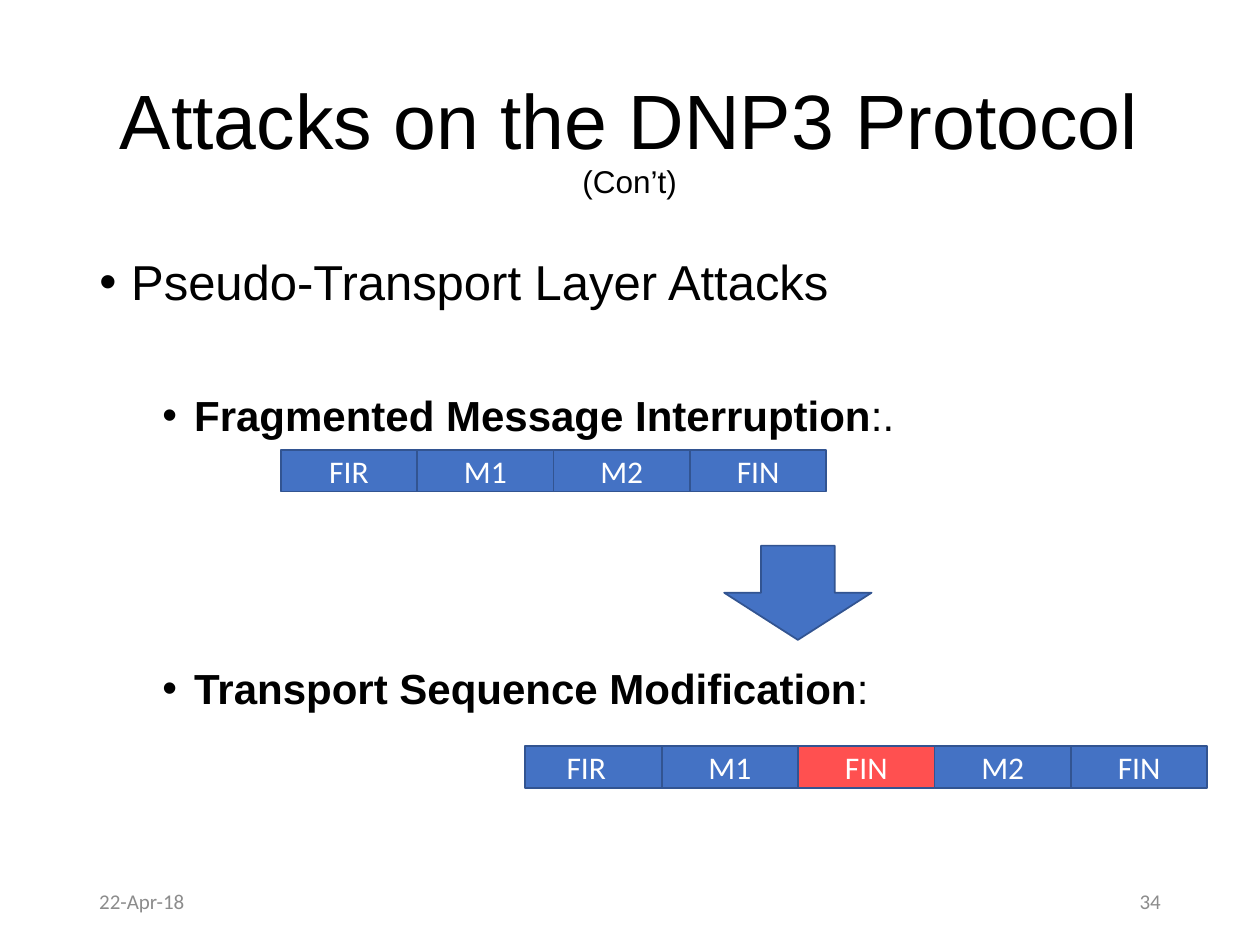
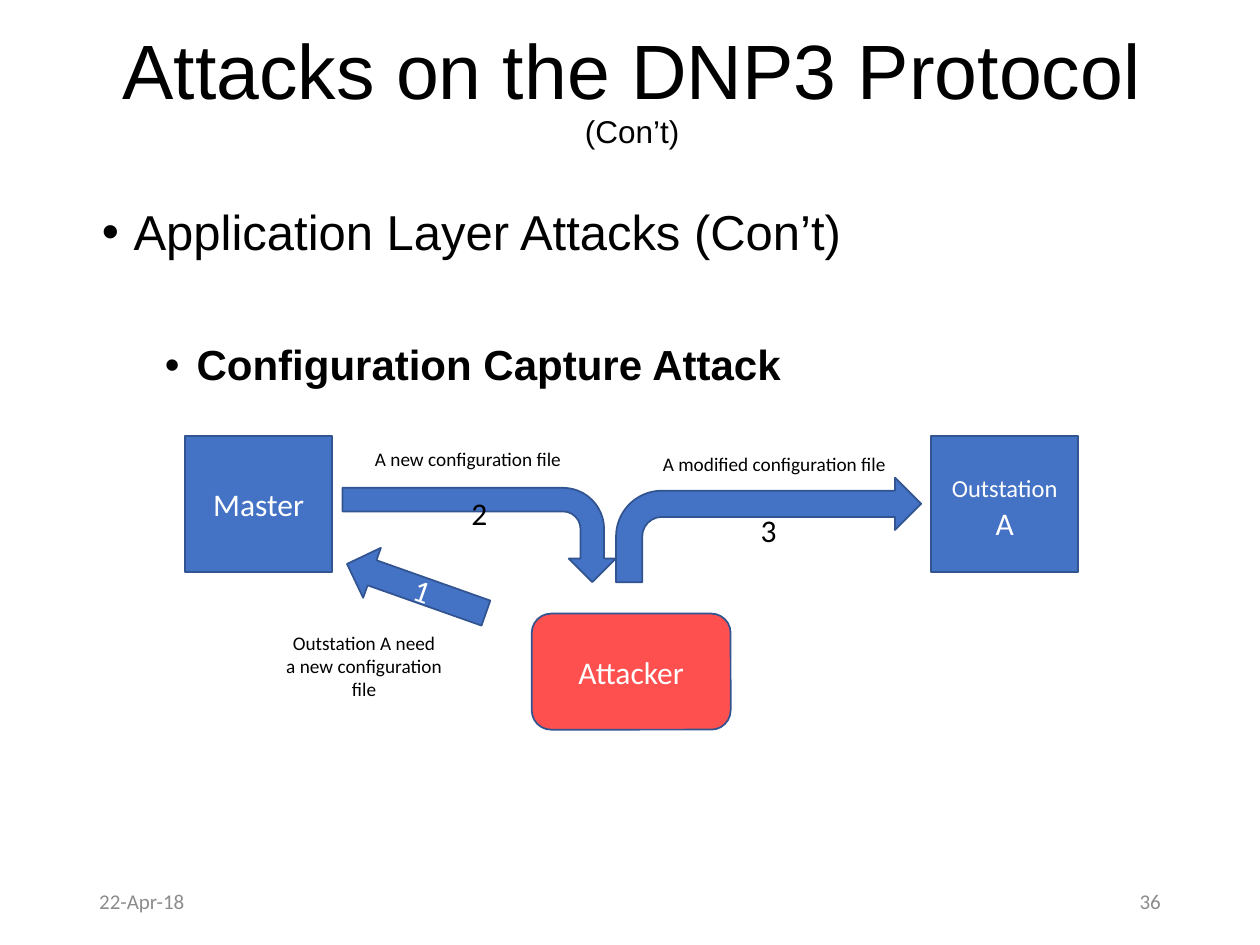
from lxml import etree
from pptx import Presentation
from pptx.dml.color import RGBColor
from pptx.enum.shapes import MSO_SHAPE
from pptx.enum.text import MSO_ANCHOR, MSO_AUTO_SIZE, PP_ALIGN
from pptx.oxml.ns import qn
from pptx.util import Cm, Pt

RECT = MSO_SHAPE.RECTANGLE
ROUND = MSO_SHAPE.ROUNDED_RECTANGLE
DOWN = MSO_SHAPE.DOWN_ARROW
LEFT = MSO_SHAPE.LEFT_ARROW
BENT = MSO_SHAPE.BENT_ARROW
TOP, MIDDLE = MSO_ANCHOR.TOP, MSO_ANCHOR.MIDDLE
START, MID, END = PP_ALIGN.LEFT, PP_ALIGN.CENTER, PP_ALIGN.RIGHT
FIXED = MSO_AUTO_SIZE.NONE

HUES = {"ink": "000000", "blue": "4472C4", "edge": "325491",
        "red": "FF5050", "white": "FFFFFF", "grey": "8C8C8C"}
HEAD, BODY = "Arial", "Calibri"
CELL_W, CELL_H = 2.75, 0.84


class Deck:
    """Holds the shared style and the current slide."""

    def __init__(self):
        self.prs = Presentation()
        self.prs.slide_width, self.prs.slide_height = Cm(25.4), Cm(19.05)
        self.slide = None

    def hue(self, name):
        return RGBColor.from_string(HUES[name])

    def style(self, para, size, hue="ink", face=BODY, align=MID):
        para.alignment = align
        para.font.size, para.font.name = Pt(size), face
        para.font.color.rgb = self.hue(hue)

    def place(self, item, x, y, w, h):
        item.left, item.top, item.width, item.height = Cm(x), Cm(y), Cm(w), Cm(h)

    def start(self, number, x, y, items):
        self.slide = self.prs.slides.add_slide(self.prs.slide_layouts[1])
        self.title(x, y)
        self.bullets(x, y + 4.06, items)
        self.label("22-Apr-18", 1.75, 17.65, 5.72, 1.02, 12, "grey", START, MIDDLE)
        self.label(number, 17.93, 17.65, 5.72, 1.02, 12, "grey", END, MIDDLE)

    def title(self, x, y):
        head = self.slide.shapes.title
        self.place(head, x, y, 21.89, 3.68)
        frame = head.text_frame
        frame.auto_size, frame.vertical_anchor = FIXED, MIDDLE
        para = frame.paragraphs[0]
        self.style(para, 44, face=HEAD)
        para.line_spacing = 0.9
        para.add_run().text = "Attacks on the DNP3 Protocol "
        more = para.add_run()
        more.text = "(Con’t)"
        more.font.size = Pt(18)

    def bullets(self, x, y, items):
        body = self.slide.placeholders[1]
        self.place(body, x, y, 21.89, 12.09)
        frame = body.text_frame
        frame.auto_size = FIXED
        for i, (level, gap, text, tail) in enumerate(items):
            para = frame.add_paragraph() if i else frame.paragraphs[0]
            para.level, para.line_spacing, para.space_before = level, 0.9, Pt(gap)
            props = para._p.get_or_add_pPr()
            props.set("marL", str(Cm(1.91 if level else 0.64)))
            props.set("indent", str(Cm(-0.64)))
            etree.SubElement(props, qn("a:buFont"), typeface=HEAD)
            etree.SubElement(props, qn("a:buChar"), char="•")
            self.style(para, 24 if level else 28, face=HEAD, align=START)
            run = para.add_run()
            run.text = text
            if level:
                run.font.bold = True
            if tail:
                para.add_run().text = tail

    def label(self, text, x, y, w, h, size=11, hue="ink", align=MID, anchor=TOP):
        box = self.slide.shapes.add_textbox(Cm(x), Cm(y), Cm(w), Cm(h))
        frame = box.text_frame
        frame.word_wrap, frame.vertical_anchor = anchor == MIDDLE, anchor
        frame.text = text
        for para in frame.paragraphs:
            self.style(para, size, hue, align=align)

    def shape(self, kind, x, y, w, h, text="", fill="blue", hue="white"):
        item = self.slide.shapes.add_shape(kind, Cm(x), Cm(y), Cm(w), Cm(h))
        item.shadow.inherit = False
        item.fill.solid()
        item.fill.fore_color.rgb = self.hue(fill)
        item.line.color.rgb = self.hue("edge")
        item.line.width = Pt(1)
        if text:
            frame = item.text_frame
            frame.word_wrap, frame.vertical_anchor = True, MIDDLE
            frame.text = text
            self.style(frame.paragraphs[0], 18, hue)
        return item

    def frames(self, x, y, names, bad=None):
        return [self.shape(RECT, x + i * CELL_W, y, CELL_W, CELL_H, name,
                           "red" if i == bad else "blue")
                for i, name in enumerate(names)]


def transport(deck):
    deck.start("34", 1.75, 1.02, [
        (0, 10, "Pseudo-Transport Layer Attacks", ""),
        (1, 48, "Fragmented Message Interruption", ":."),
        (1, 130, "Transport Sequence Modification", ":")])
    deck.frames(5.66, 9.07, ["FIR", "M1", "M2", "FIN"])
    deck.shape(DOWN, 14.6, 11, 2.97, 1.9)
    cells = deck.frames(10.59, 15.04, ["FIR", "M1", "FIN", "M2", "FIN"], bad=2)
    cells[0].text_frame.margin_right = Cm(0.54)


def capture(deck):
    deck.start("36", 1.8, 0, [
        (0, 10, "Application Layer Attacks (Con’t)", ""),
        (1, 48, "Configuration Capture Attack", "")])
    deck.shape(RECT, 3.73, 8.79, 2.97, 2.74, "Master")
    remote = deck.shape(RECT, 18.77, 8.79, 2.97, 2.74, "Outstation")
    para = remote.text_frame.paragraphs[0]
    para.runs[0].font.size = Pt(14)
    para.add_run().text = " A"
    deck.shape(ROUND, 10.72, 12.37, 4.01, 2.34, "Attacker", "red")

    deck.shape(LEFT, 6.91, 11.33, 2.97, 1.07, "1").rotation = 19.5
    deck.label("Outstation A need\na new configuration\vfile", 5.23, 12.6, 4.22, 1.19)
    deck.label("A new configuration file", 7.29, 8.89, 4.29, 0.74)
    turn = deck.shape(BENT, 8.71, 8.03, 1.9, 5.51, "2", hue="ink")
    turn.rotation = 90
    turn.text_frame.vertical_anchor = TOP
    turn.element.txBody.bodyPr.set("vert", "vert270")
    deck.shape(BENT, 12.42, 9.63, 6.15, 2.11, "3", hue="ink")
    deck.label("A modified configuration file", 13.11, 8.99, 5, 0.74)


def main():
    deck = Deck()
    transport(deck)
    capture(deck)
    deck.prs.save("out.pptx")


if __name__ == "__main__":
    main()
